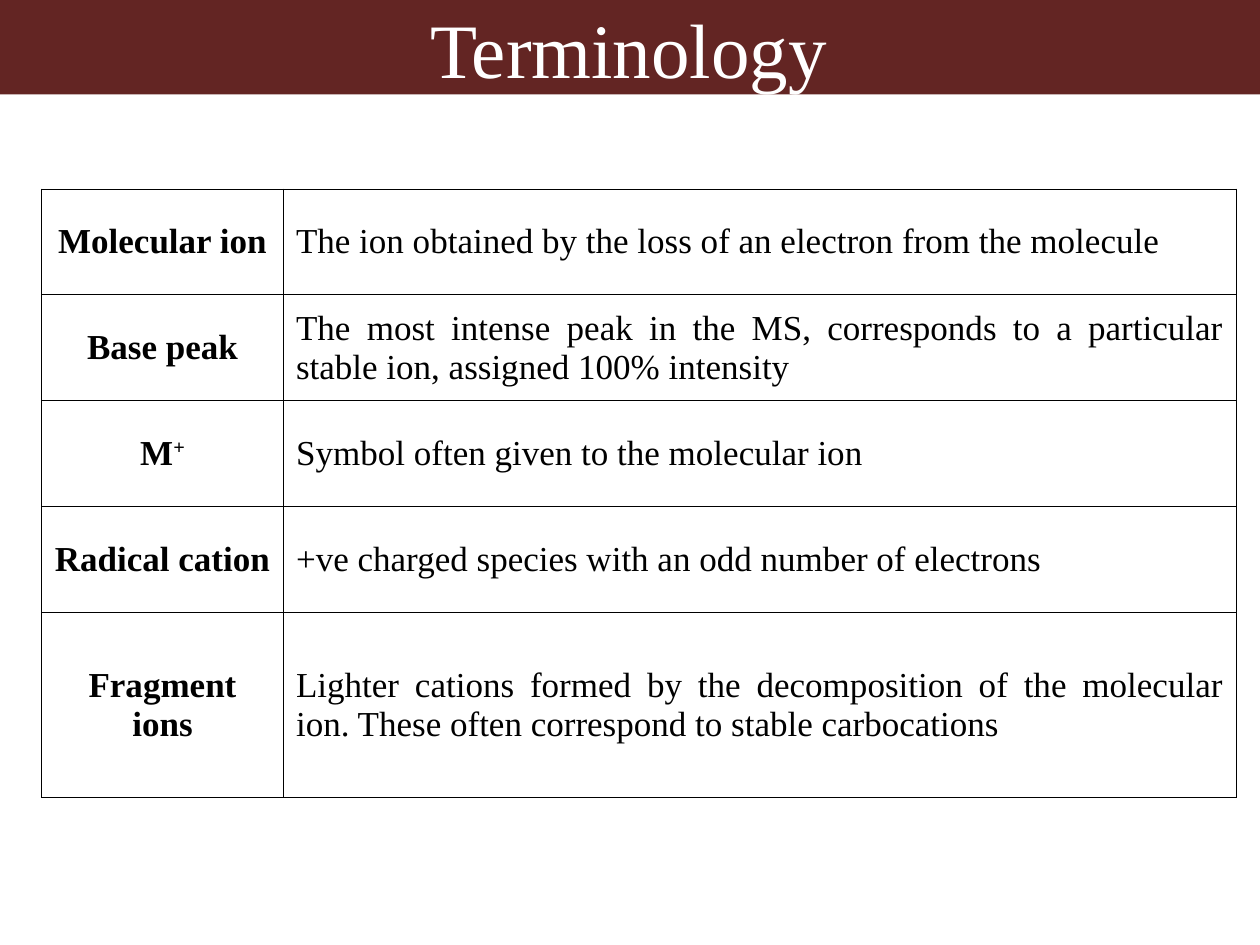
from typing import NamedTuple

from lxml.etree import SubElement
from pptx import Presentation
from pptx.dml.color import RGBColor
from pptx.enum.shapes import MSO_SHAPE
from pptx.enum.text import MSO_ANCHOR, PP_ALIGN
from pptx.oxml.ns import qn
from pptx.util import Inches, Pt

WIDE, HIGH = Inches(10), Inches(7.5)
FACE = "Times New Roman"
HUES = {"band": "632523", "title": "FFFFFF", "ink": "000000"}
COLS = (1.92, 7.56)
ROW = 0.84
EDGE = Pt(0.45)


class Term(NamedTuple):
    name: str
    text: str
    sup: str = ""
    rows: float = 1


TERMS = (
    Term("Molecular ion", "The ion obtained by the loss of an electron from the molecule"),
    Term("Base peak", "The most intense peak in the MS, corresponds to a particular stable ion, assigned 100% intensity"),
    Term("M", "Symbol often given to the molecular ion", sup="+"),
    Term("Radical cation", "+ve charged species with an odd number of electrons"),
    Term("Fragment ions", "Lighter cations formed by the decomposition of the molecular ion. These often correspond to stable carbocations", rows=1.75),
)


def style(para, size: float, hue: str, align, bold: bool = False) -> None:
    para.alignment = align
    font = para.font
    font.name, font.size, font.bold = FACE, Pt(size), bold
    font.color.rgb = RGBColor.from_string(HUES[hue])


def frame(cell) -> None:
    props = cell._tc.get_or_add_tcPr()
    for side in ("lnL", "lnR", "lnT", "lnB"):
        line = SubElement(props, qn(f"a:{side}"), w=str(EDGE))
        fill = SubElement(line, qn("a:solidFill"))
        SubElement(fill, qn("a:srgbClr"), val=HUES["ink"])


def write(cell, text: str, align, bold: bool = False, sup: str = "") -> None:
    frame(cell)
    cell.fill.background()
    cell.vertical_anchor = MSO_ANCHOR.MIDDLE
    para = cell.text_frame.paragraphs[0]
    para.add_run().text = text
    if sup:
        run = para.add_run()
        run.text = sup
        run._r.get_or_add_rPr().set("baseline", "30000")
    style(para, 20, "ink", align, bold)


def draw_terms(slide) -> None:
    high = ROW * sum(term.rows for term in TERMS)
    table = slide.shapes.add_table(
        len(TERMS), len(COLS), int(WIDE * 0.033), int(HIGH * 0.2),
        Inches(sum(COLS)), Inches(high),
    ).table
    table.first_row = table.horz_banding = False
    for col, width in zip(table.columns, COLS):
        col.width = Inches(width)
    for row, term in zip(table.rows, TERMS):
        row.height = Inches(ROW * term.rows)
        name, text = row.cells
        write(name, term.name, PP_ALIGN.CENTER, True, term.sup)
        write(text, term.text, PP_ALIGN.JUSTIFY)


def draw_title(slide, text: str) -> None:
    left = int(WIDE * -0.002)
    band = slide.shapes.add_shape(
        MSO_SHAPE.RECTANGLE, left, 0, WIDE - left, int(HIGH * 0.1)
    )
    band.shadow.inherit = False
    band.fill.solid()
    band.fill.fore_color.rgb = RGBColor.from_string(HUES["band"])
    band.line.fill.background()
    band.text_frame.word_wrap = True
    band.text_frame.vertical_anchor = MSO_ANCHOR.MIDDLE
    para = band.text_frame.paragraphs[0]
    para.text = text
    style(para, 44, "title", PP_ALIGN.CENTER)


def main() -> None:
    deck = Presentation()
    deck.slide_width, deck.slide_height = WIDE, HIGH
    slide = deck.slides.add_slide(deck.slide_layouts[6])
    draw_terms(slide)
    draw_title(slide, "Terminology")
    deck.save("out.pptx")


if __name__ == "__main__":
    main()
